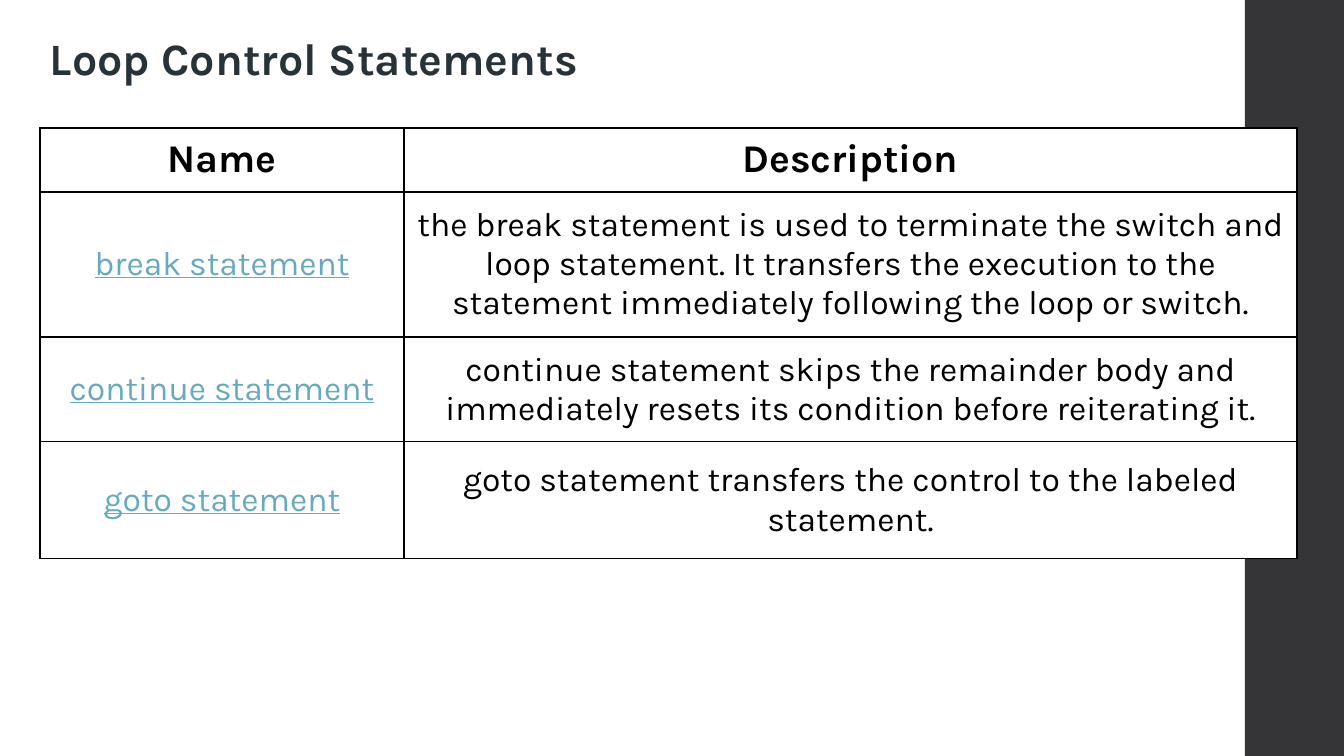
import pptx
import pptx.util
import pptx.dml.color
import pptx.enum.shapes
import pptx.enum.text
import pptx.oxml.ns
import lxml.etree

# Content
HEADING = "Loop Control Statements"
HEADERS = ("Name", "Description")
STATEMENTS = [
    ("break statement",
     "the break statement is used to terminate the switch and loop statement. "
     "It transfers the execution to the statement immediately following the loop or switch."),
    ("continue statement",
     "continue statement skips the remainder body and immediately resets its condition "
     "before reiterating it."),
    ("goto statement",
     "goto statement transfers the control to the labeled statement."),
]

# Layout in px
SLIDE_W, SLIDE_H = 1344, 756
SIDEBAR_LEFT = 1245
MARGIN = 40
HEADING_TOP, HEADING_W, HEADING_H = 26, 672, 65
TABLE_TOP = 128
COLUMN_WIDTHS = (364, 893)
ROW_HEIGHTS = (64, 144, 105, 117)
CELL_PAD_X, HEADER_PAD_Y, BODY_PAD_Y = 8, 8, 12

FONT = "Karla"
BLACK, WHITE, LINK = "000000", "FFFFFF", "67AABF"
SLATE, CHARCOAL = "273239", "353537"


def px(length):
    return pptx.util.Emu(round(length * 914400 / 100.8))


def rgb(value):
    return pptx.dml.color.RGBColor.from_string(value)


def add_run(paragraph, text, size, color, bold=False, underline=False):
    run = paragraph.add_run()
    run.text = text
    run.font.name = FONT
    run.font.size = pptx.util.Pt(size)
    run.font.bold = bold
    run.font.underline = underline
    run.font.color.rgb = rgb(color)


def add_borders(cell, color):
    properties = cell._tc.get_or_add_tcPr()
    qn = pptx.oxml.ns.qn
    for side in ("a:lnL", "a:lnR", "a:lnT", "a:lnB"):
        line = lxml.etree.SubElement(properties, qn(side), w=str(pptx.util.Pt(1)))
        fill = lxml.etree.SubElement(line, qn("a:solidFill"))
        lxml.etree.SubElement(fill, qn("a:srgbClr"), val=color)


def fill_cell(cell, text, pad_y, size, color, bold=False, underline=False):
    add_borders(cell, BLACK)
    cell.fill.solid()
    cell.fill.fore_color.rgb = rgb(WHITE)
    cell.margin_left = cell.margin_right = px(CELL_PAD_X)
    cell.margin_top = cell.margin_bottom = px(pad_y)
    cell.vertical_anchor = pptx.enum.text.MSO_ANCHOR.MIDDLE
    paragraph = cell.text_frame.paragraphs[0]
    paragraph.alignment = pptx.enum.text.PP_ALIGN.CENTER
    add_run(paragraph, text, size, color, bold, underline)


def main():
    deck = pptx.Presentation()
    deck.slide_width, deck.slide_height = px(SLIDE_W), px(SLIDE_H)
    slide = deck.slides.add_slide(deck.slide_layouts[6])

    # Sidebar
    sidebar = slide.shapes.add_shape(
        pptx.enum.shapes.MSO_SHAPE.RECTANGLE,
        px(SIDEBAR_LEFT), 0, px(SLIDE_W - SIDEBAR_LEFT), px(SLIDE_H))
    sidebar.shadow.inherit = False
    sidebar.fill.solid()
    sidebar.fill.fore_color.rgb = rgb(CHARCOAL)
    sidebar.line.fill.background()

    # Heading
    heading = slide.shapes.add_textbox(
        px(MARGIN), px(HEADING_TOP), px(HEADING_W), px(HEADING_H))
    heading.text_frame.word_wrap = True
    add_run(heading.text_frame.paragraphs[0], HEADING, 32, SLATE, bold=True)

    # Table of statements
    table = slide.shapes.add_table(
        len(ROW_HEIGHTS), len(COLUMN_WIDTHS), px(MARGIN), px(TABLE_TOP),
        px(sum(COLUMN_WIDTHS)), px(sum(ROW_HEIGHTS))).table
    for column, width in zip(table.columns, COLUMN_WIDTHS):
        column.width = px(width)
    for row, height in zip(table.rows, ROW_HEIGHTS):
        row.height = px(height)

    for column, header in enumerate(HEADERS):
        fill_cell(table.cell(0, column), header, HEADER_PAD_Y, 28, BLACK, bold=True)
    for row, (name, description) in enumerate(STATEMENTS, start=1):
        fill_cell(table.cell(row, 0), name, BODY_PAD_Y, 24, LINK, underline=True)
        fill_cell(table.cell(row, 1), description, BODY_PAD_Y, 24, BLACK)

    deck.save("out.pptx")


if __name__ == "__main__":
    main()
